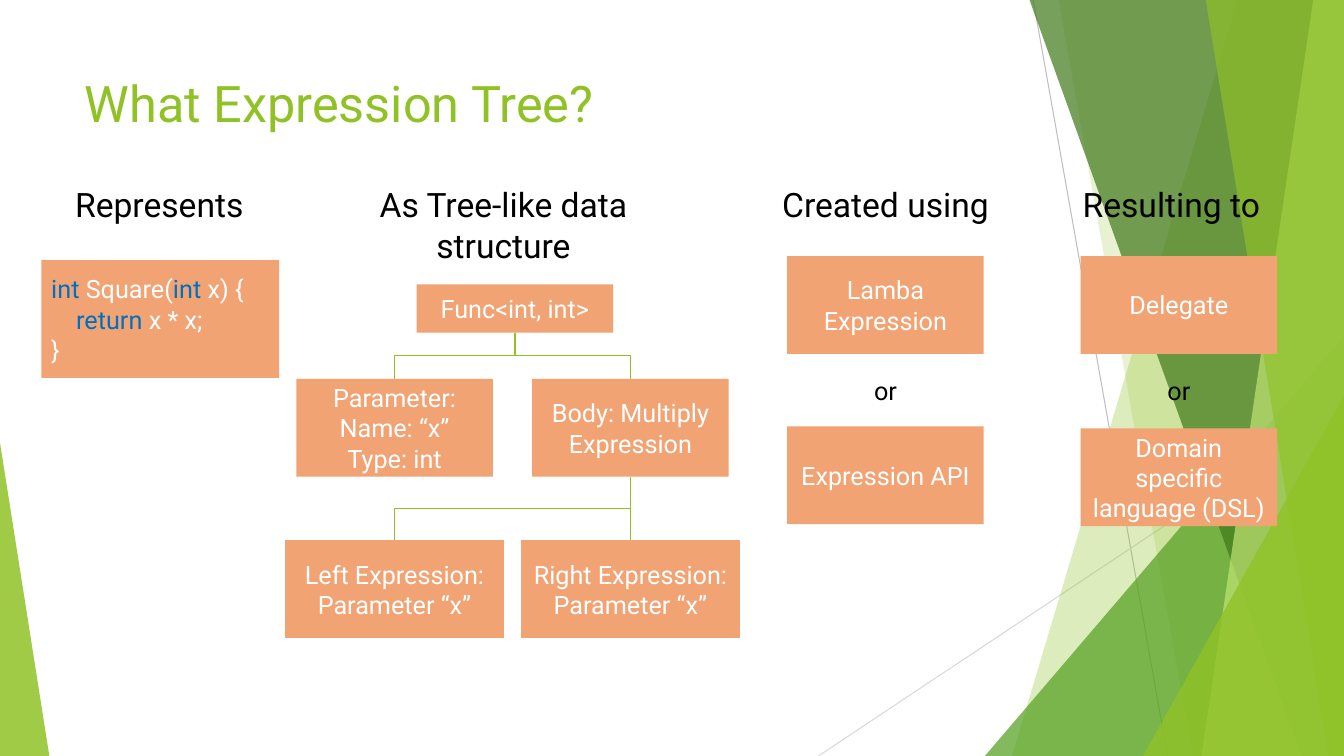
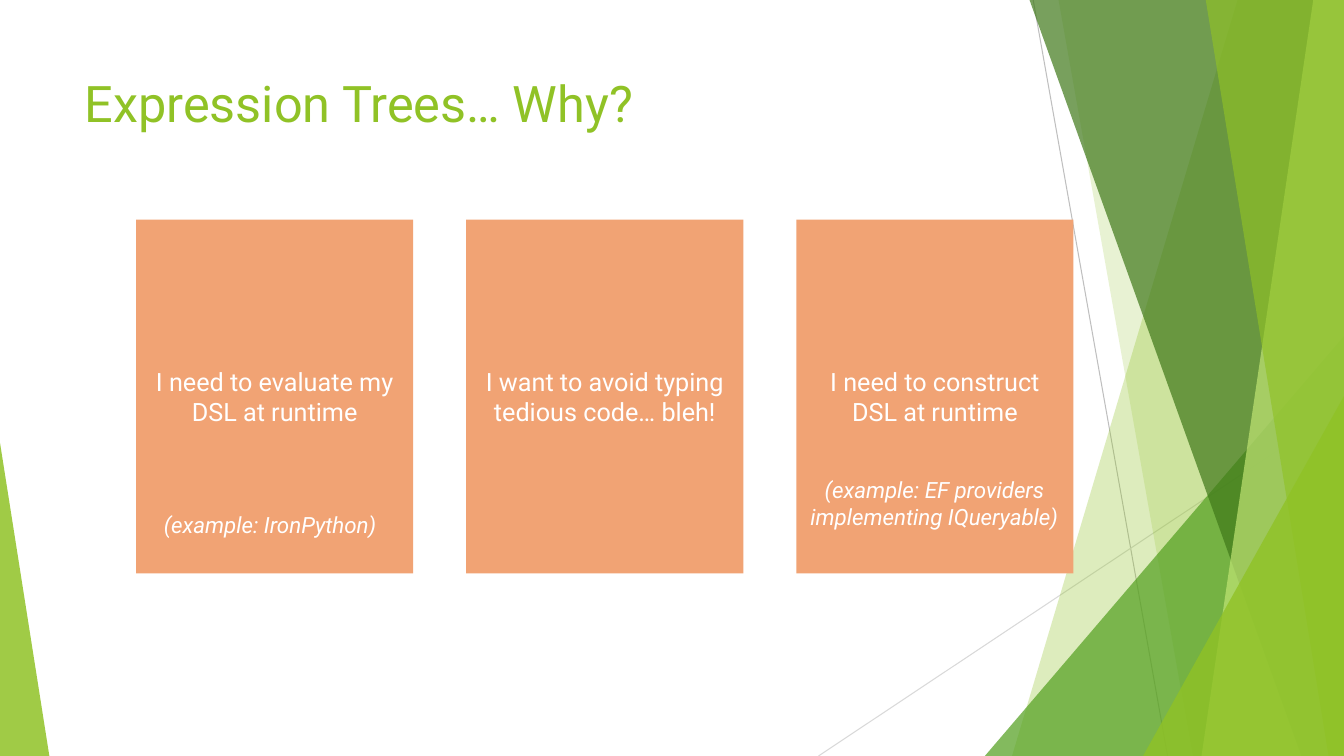
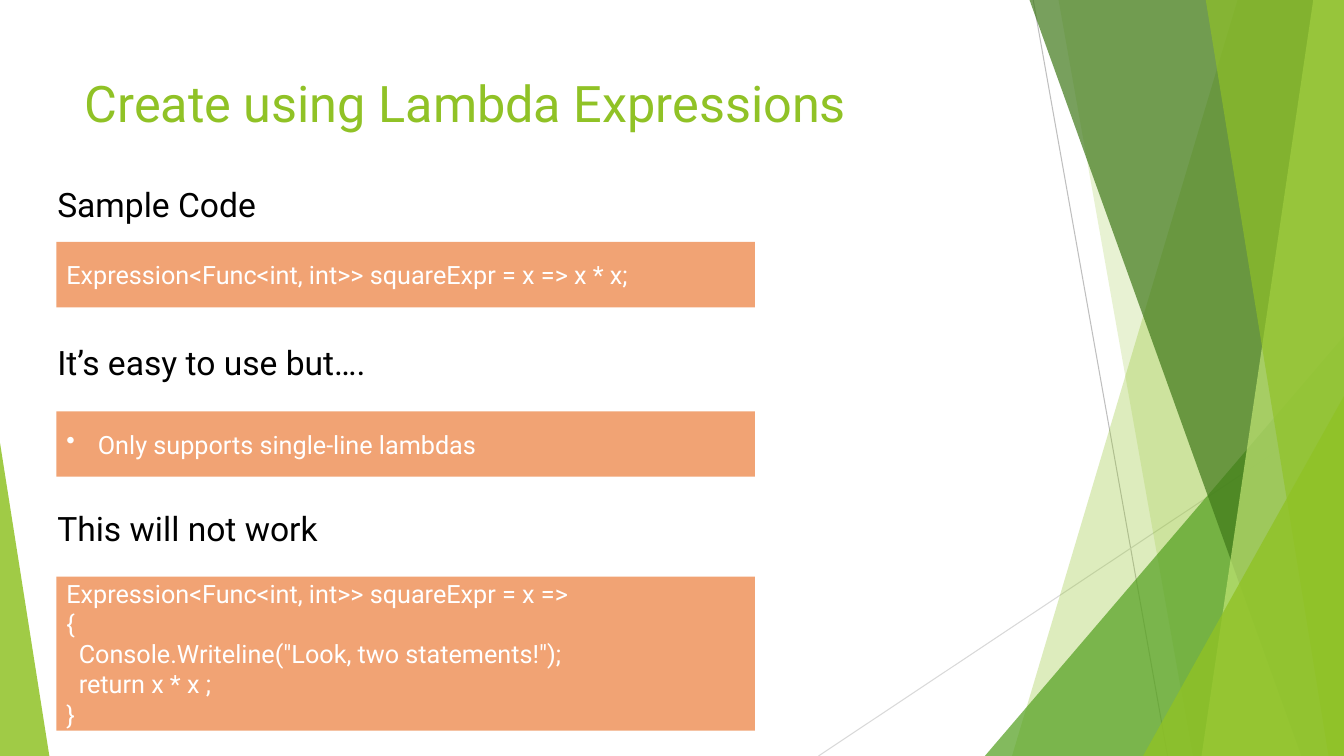
import lxml.etree
import pptx
import pptx.dml.color
import pptx.enum.shapes
import pptx.enum.text
import pptx.oxml.ns
import pptx.util

COLUMNS, ROWS = 80, 45
COLORS = {
    "lime": "90C226", "green": "54A021", "forest": "3F7819", "pale": "C0E474",
    "gray": "BFBFBF", "silver": "D9D9D9", "panel": "F1A374",
    "keyword": "0070C0", "white": "FFFFFF", "black": "000000",
}
FONT = "Roboto"
HEADING_TOP = 10.68
SHAPES = pptx.enum.shapes.MSO_SHAPE
LINES = pptx.enum.shapes.MSO_CONNECTOR
ANCHOR = pptx.enum.text.MSO_ANCHOR
LEFT, CENTER = pptx.enum.text.PP_ALIGN.LEFT, pptx.enum.text.PP_ALIGN.CENTER
qn = pptx.oxml.ns.qn


def rgb(name):
    return pptx.dml.color.RGBColor.from_string(COLORS[name])


class Deck:
    """Holds the style and the current page; lengths are grid columns and rows."""

    def __init__(self):
        self.file = pptx.Presentation()
        self.file.slide_width = pptx.util.Inches(13.33)
        self.file.slide_height = pptx.util.Inches(7.5)
        self.layout = self.file.slide_layouts[5]
        self.page = None

    def x(self, columns):
        return round(self.file.slide_width * columns / COLUMNS)

    def y(self, rows):
        return round(self.file.slide_height * rows / ROWS)

    def area(self, left, top, width, height):
        return self.x(left), self.y(top), self.x(width), self.y(height)

    def add_page(self, title, width=56.4):
        self.page = self.file.slides.add_slide(self.layout)
        holder = self.page.shapes.title
        holder.left, holder.top, holder.width, holder.height = self.area(4.44, 4.02, width, 8.64)
        self.set_text(holder, [title], 36, "lime", LEFT, ANCHOR.TOP)

    def set_text(self, shape, paras, size, color, align, anchor, italic=False, bullet=False):
        """Fill a shape; a para is a string or a list of (text, colour) spans."""
        frame = shape.text_frame
        frame.word_wrap = True
        frame.auto_size = pptx.enum.text.MSO_AUTO_SIZE.NONE
        frame.vertical_anchor = anchor
        for index, spans in enumerate(paras):
            para = frame.add_paragraph() if index else frame.paragraphs[0]
            para.alignment = align
            if bullet:
                self.add_bullet(para)
            for text, tint in [(spans, color)] if isinstance(spans, str) else spans:
                span = para.add_run()
                span.text = text
                span.font.name = FONT
                span.font.size = pptx.util.Pt(size)
                span.font.italic = italic
                span.font.color.rgb = rgb(tint)

    def add_bullet(self, para):
        props = para._p.get_or_add_pPr()
        indent = self.x(1.88)
        props.set("marL", str(indent))
        props.set("indent", str(-indent))
        lxml.etree.SubElement(props, qn("a:buChar")).set("char", "•")

    def paint(self, shape, color, opacity=100):
        shape.shadow.inherit = False
        shape.line.fill.background()
        shape.fill.solid()
        shape.fill.fore_color.rgb = rgb(color)
        if opacity < 100:
            tint = shape.element.spPr.find(".//" + qn("a:srgbClr"))
            lxml.etree.SubElement(tint, qn("a:alpha")).set("val", str(opacity * 1000))

    def panel(self, left, top, width, height, paras, align=CENTER, bullet=False):
        box = self.page.shapes.add_shape(SHAPES.RECTANGLE, *self.area(left, top, width, height))
        self.paint(box, "panel")
        self.set_text(box, paras, 18, "white", align, ANCHOR.MIDDLE, bullet=bullet)

    def node(self, center, top, paras, width=11.7, height=5.82):
        self.panel(center - width / 2, top, width, height, paras)

    def label(self, left, top, width, height, text, size=24, color="black",
              align=CENTER, italic=False):
        box = self.page.shapes.add_textbox(*self.area(left, top, width, height))
        self.set_text(box, [text], size, color, align, ANCHOR.TOP, italic)

    def line(self, kind, start, end, color, weight):
        """Draw a connector between two points in slide units."""
        line = self.page.shapes.add_connector(kind, *start, *end)
        line.line.color.rgb = rgb(color)
        line.line.width = pptx.util.Pt(weight)
        lxml.etree.SubElement(line.element.spPr, qn("a:effectLst"))
        return line

    def branch(self, parent, top, child, bottom):
        """Draw an elbow that leaves downwards: a turned side-to-side elbow."""
        run, drop = self.x(child - parent), self.y(bottom - top)
        middle_x, middle_y = self.x((parent + child) / 2), self.y((top + bottom) / 2)
        reach = drop // 2 if run < 0 else -drop // 2
        rise = abs(run) // 2
        elbow = self.line(LINES.ELBOW, (middle_x - reach, middle_y - rise),
                          (middle_x + reach, middle_y + rise), "lime", 1)
        turn = 90 if run < 0 else 270
        elbow.element.spPr.find(qn("a:xfrm")).set("rot", str(turn * 60000))

    def ray(self, start, end, color):
        points = [(self.x(column), self.y(row)) for column, row in (start, end)]
        self.line(LINES.STRAIGHT, *points, color, 0.75)

    def band(self, top_column, bottom_column, color, opacity):
        """Fill from a slanted edge to the right side of the slide."""
        top, bottom = self.y(-0.06), self.y(ROWS)
        right = self.x(COLUMNS)
        builder = self.page.shapes.build_freeform(self.x(top_column), top)
        builder.add_line_segments([(right, top), (right, bottom), (self.x(bottom_column), bottom)])
        self.paint(builder.convert_to_shape(), color, opacity)

    def wedge(self, left, top, right, peak, color, opacity):
        """Stand a triangle on the bottom edge; peak is 0 for left, 1 for right."""
        shape = self.page.shapes.add_shape(
            SHAPES.ISOSCELES_TRIANGLE, *self.area(left, top, right - left, ROWS - top))
        shape.adjustments[0] = peak
        self.paint(shape, color, opacity)

    def decorate_layout(self):
        """Draw the facets on the current page, then hand them to the layout."""
        own = list(self.page.shapes)
        self.ray((61.5, 0), (69.5, ROWS), "gray")
        self.ray((COLUMNS, 24.18), (48.72, ROWS), "silver")
        self.band(73.68, 60.24, "lime", 30)
        self.band(63, 71, "lime", 20)
        self.wedge(58.62, 20, COLUMNS, 1, "green", 72)
        self.band(61.26, 77.46, "forest", 70)
        self.band(78.18, 71.52, "pale", 70)
        self.band(71.76, 79.08, "lime", 65)
        self.wedge(68.04, 23.58, COLUMNS, 1, "lime", 80)
        self.wedge(0, 26.34, 2.94, 0, "lime", 85)
        for shape in list(self.page.shapes)[len(own):]:
            self.layout.shapes.element.append(shape.element)


def add_what(deck):
    deck.add_page("What Expression Tree?", 43.92)
    deck.decorate_layout()
    for center, width, height, text in [
        (9.48, 12, 3, "Represents"), (29.97, 16.26, 5.46, "As Tree-like data structure"),
        (52.71, 16.26, 3, "Created using"), (69.72, 13.56, 3, "Resulting to"),
    ]:
        deck.label(center - width / 2, HEADING_TOP, width, height, text)

    deck.panel(2.46, 15.48, 14.16, 7.02, [
        [("int", "keyword"), (" Square(", "white"), ("int", "keyword"), (" x) {", "white")],
        [("    return", "keyword"), (" x * x;", "white")],
        "}",
    ], LEFT)

    root, left, right = 30.65, 23.49, 37.53
    root_top, middle_top, leaf_top = 16.92, 22.56, 32.16
    root_height, node_height = 2.88, 5.82
    deck.node(root, root_top, ["Func<int, int>"], height=root_height)
    deck.node(left, middle_top, ["Parameter:", "Name: “x”", "Type: int"])
    deck.node(right, middle_top, ["Body: Multiply Expression"])
    for center, side in [(left, "Left"), (right, "Right")]:
        deck.node(center, leaf_top, [side + " Expression:", "Parameter “x”"], width=13.02)
        deck.branch(root, root_top + root_height, center, middle_top)
        deck.branch(right, middle_top + node_height, center, leaf_top)

    for center, first, second, second_top in [
        (52.71, "Lamba Expression", "Expression API", 25.38),
        (70.17, "Delegate", "Domain specific language (DSL)", 25.5),
    ]:
        deck.node(center, 15.24, [first])
        deck.label(center - 3.6, 22.02, 7.2, 2.4, "or", 18)
        deck.node(center, second_top, [second])


def add_why(deck):
    deck.add_page("Expression Trees… Why?")
    reasons = ["I need to evaluate my DSL at runtime",
               "I want to avoid typing tedious code… bleh!",
               "I need to construct DSL at runtime"]
    for index, reason in enumerate(reasons):
        deck.panel(8.1 + 19.65 * index, 13.08, 16.5, 21.06, [reason])
    for left, top, height, text in [
        (47.4, 28.04, 7.3, "(example: EF providers implementing IQueryable)"),
        (7.86, 30.12, 4.02, "(example: IronPython)"),
    ]:
        deck.label(left, top, 16.44, height, text, 16, "white", italic=True)


def add_lambdas(deck):
    deck.add_page("Create using Lambda Expressions")
    for heading_top, heading, top, height, paras, bullet in [
        (HEADING_TOP, "Sample Code", 14.4, 3.9,
         ["Expression<Func<int, int>> squareExpr = x => x * x;"], False),
        (20.04, "It’s easy to use but….", 24.48, 3.9,
         ["Only supports single-line lambdas"], True),
        (29.94, "This will not work", 34.32, 9.18,
         ["Expression<Func<int, int>> squareExpr = x =>", "{",
          '  Console.Writeline("Look, two statements!");', "  return x * x ;", "}"], False),
    ]:
        deck.label(2.82, heading_top, 50.28, 3, heading, align=LEFT)
        deck.panel(3.36, top, 41.58, height, paras, LEFT, bullet)


def main():
    deck = Deck()
    add_what(deck)
    add_why(deck)
    add_lambdas(deck)
    deck.file.save("out.pptx")


if __name__ == "__main__":
    main()
